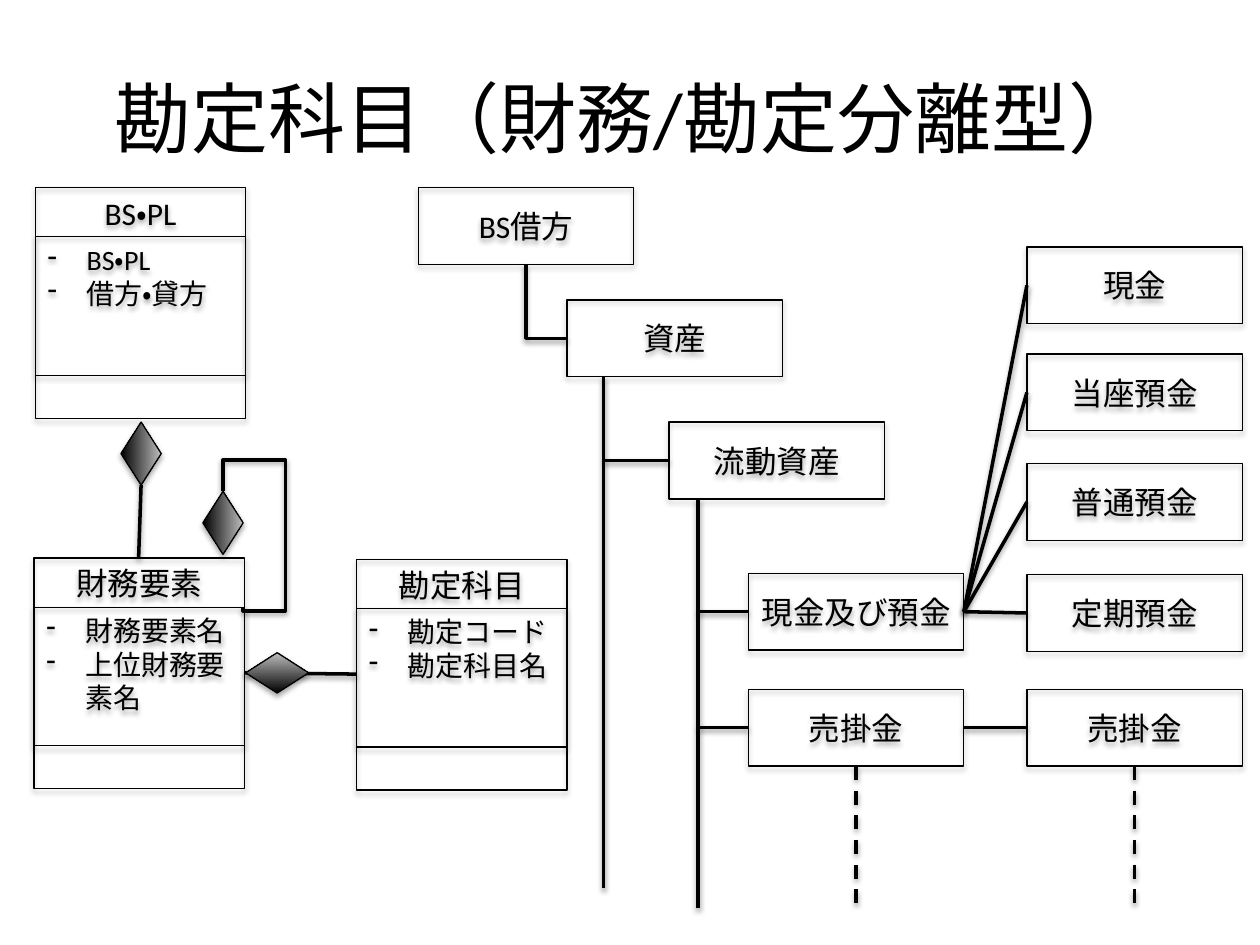
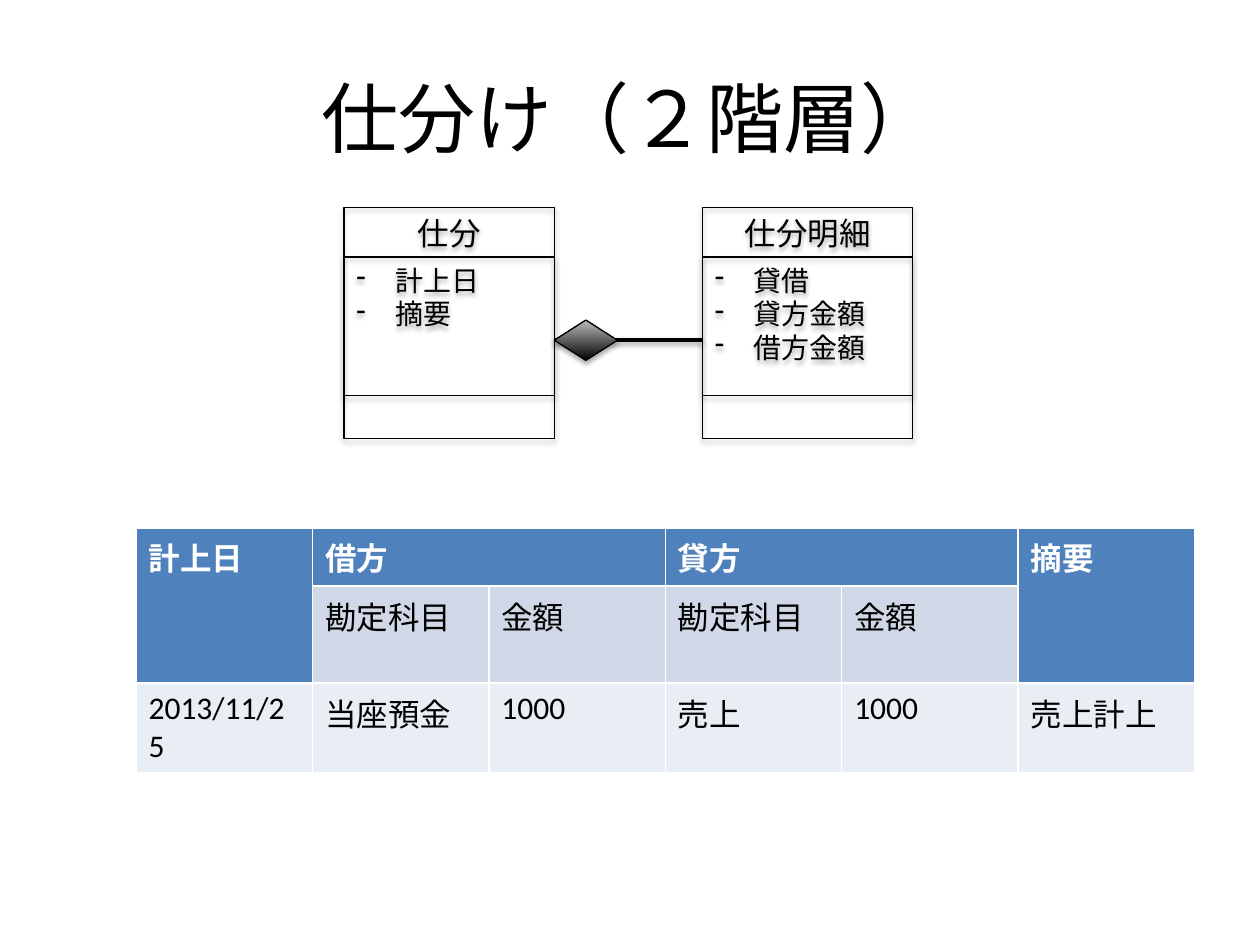
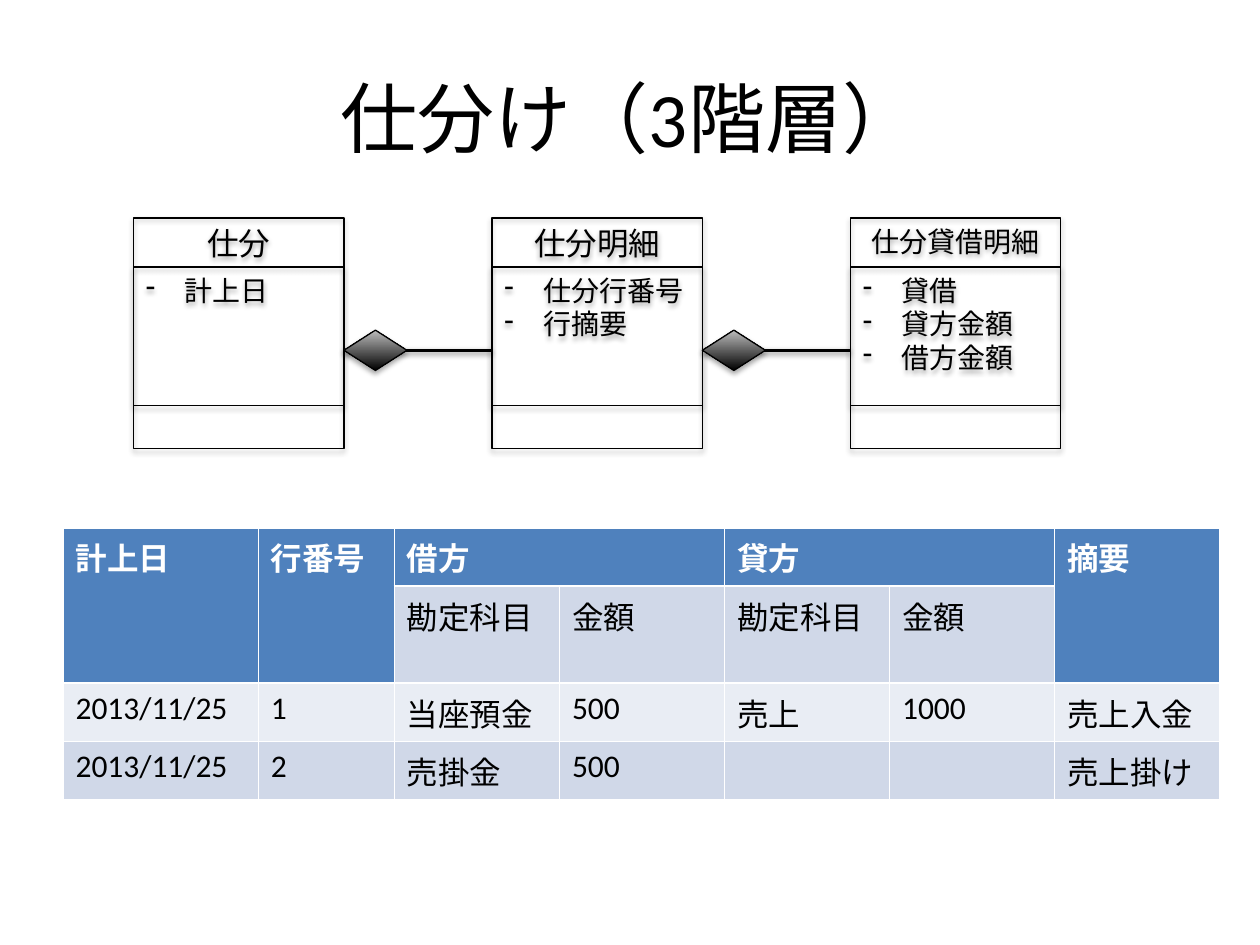
from lxml.etree import SubElement
from pptx import Presentation
from pptx.dml.color import RGBColor
from pptx.enum.dml import MSO_LINE
from pptx.enum.lang import MSO_LANGUAGE_ID as Language
from pptx.enum.shapes import MSO_CONNECTOR as Connector, MSO_SHAPE as Shape
from pptx.enum.text import MSO_ANCHOR as Anchor, PP_ALIGN as Align
from pptx.oxml.ns import qn
from pptx.util import Inches, Pt

FONT = "Calibri"
BLACK = RGBColor(0x00, 0x00, 0x00)
WHITE = RGBColor(0xFF, 0xFF, 0xFF)
SILVER = RGBColor(0xBD, 0xBD, 0xBD)
HEADER_BLUE = RGBColor(0x4F, 0x81, 0xBD)
BAND_DARK = RGBColor(0xD0, 0xD8, 0xE8)
BAND_LIGHT = RGBColor(0xE9, 0xED, 0xF4)

# Lengths in inches
CLASS_W, CLASS_H = 1.67, 1.83
BODY_TOP, BODY_H = 0.39, 1.1
DIAMOND_W, DIAMOND_H = 0.5, 0.32
NODE_W, NODE_H = 1.71, 0.61
CLASS_STEP = 2.845
LINK_DROP = 1.05
TABLE_TOP = 4.19
ROW_H, SUBHEAD_H = 0.41, 0.77

# Slide 1: class boxes as (name, attributes, left, top)
ACCOUNT_CLASSES = [
    ("BS・PL", ["BS・PL", "借方・貸方"], 0.28, 1.49),
    ("財務要素", ["財務要素名", "上位財務要素名"], 0.27, 4.43),
    ("勘定科目", ["勘定コード", "勘定科目名"], 2.83, 4.44),
]
# Slide 1: account tree
TRUNK = [("BS借方", 3.32, 1.49), ("資産", 4.5, 2.38), ("流動資産", 5.31, 3.35)]
ITEM_LEFT, LEAF_LEFT = 5.94, 8.15
ITEMS = [("現金及び預金", 4.55), ("売掛金", 5.47)]
CASH_LEAVES = [("現金", 1.96), ("当座預金", 2.81), ("普通預金", 3.68), ("定期預金", 4.56)]
ASSET_RAIL, CURRENT_RAIL = 4.79, 5.54
TREE_BOTTOM = 7.21

# Slides 2 and 3: header groups as (heading, subheadings)
SIDES = [("借方", ["勘定科目", "金額"]), ("貸方", ["勘定科目", "金額"])]
JOURNALS = [
    {
        "title": "仕分け（２階層）",
        "classes": [("仕分", ["計上日", "摘要"]),
                    ("仕分明細", ["貸借", "貸方金額", "借方金額"])],
        "origin": (2.73, 1.65),
        "table_left": 1.08,
        "widths": [1.4] * 6,
        "groups": [("計上日", []), *SIDES, ("摘要", [])],
        "rows": [["2013/11/25", "当座預金", "1000", "売上", "1000", "売上計上"]],
    },
    {
        "title": "仕分け（3階層）",
        "classes": [("仕分", ["計上日"]),
                    ("仕分明細", ["仕分行番号", "行摘要"]),
                    ("仕分貸借明細", ["貸借", "貸方金額", "借方金額"])],
        "origin": (1.06, 1.73),
        "table_left": 0.5,
        "widths": [1.55, 1.08] + [1.31] * 5,
        "groups": [("計上日", []), ("行番号", []), *SIDES, ("摘要", [])],
        "rows": [["2013/11/25", "1", "当座預金", "500", "売上", "1000", "売上入金"],
                 ["2013/11/25", "2", "売掛金", "500", "", "", "売上掛け"]],
    },
]


def inches(*lengths):
    return [Inches(length) for length in lengths]


def style_text(text_frame, size, color=BLACK, bold=False):
    for paragraph in text_frame.paragraphs:
        for run in paragraph.runs:
            font = run.font
            font.name, font.size, font.bold = FONT, Pt(size), bold
            font.color.rgb = color
            font.language_id = Language.JAPANESE


def add_shadow(effects, distance, opacity):
    shadow = SubElement(effects, qn("a:outerShdw"), blurRad=str(Pt(3.1)),
                        dist=str(Pt(distance)), dir="5400000", rotWithShape="0")
    color = SubElement(shadow, qn("a:srgbClr"), val=str(BLACK))
    SubElement(color, qn("a:alpha"), val=str(opacity * 1000))


def add_outlined(slide, kind, left, top, width, height):
    """Add an unfilled shape with the thin black outline and soft shadow."""
    shape = slide.shapes.add_shape(kind, *inches(left, top, width, height))
    shape.fill.background()
    shape.line.color.rgb = BLACK
    shape.line.width = Pt(0.75)
    shape.shadow.inherit = False
    add_shadow(shape._element.spPr.find(qn("a:effectLst")), 1.8, 35)
    return shape


def add_box(slide, text, left, top, width, height, size=18, anchor=Anchor.MIDDLE,
            align=Align.CENTER):
    box = add_outlined(slide, Shape.RECTANGLE, left, top, width, height)
    frame = box.text_frame
    frame.word_wrap = True
    frame.vertical_anchor = anchor
    frame.text = text
    for paragraph in frame.paragraphs:
        paragraph.alignment = align
    style_text(frame, size)
    return box


def add_class(slide, name, attributes, left, top):
    """Add a three-part class box: name, dashed attribute list, empty foot."""
    name_size = 16 if len(name) > 5 and name != "BS・PL" else 18
    add_box(slide, name, left, top, CLASS_W, CLASS_H, name_size, Anchor.TOP)
    body = add_box(slide, "\n".join(attributes), left, top + BODY_TOP, CLASS_W, BODY_H,
                   16, Anchor.TOP, Align.LEFT)
    indent = Inches(0.31)
    for paragraph in body.text_frame.paragraphs:
        properties = paragraph._p.get_or_add_pPr()
        properties.set("marL", str(indent))
        properties.set("indent", str(-indent))
        SubElement(properties, qn("a:buChar"), char="-")


def add_node(slide, name, left, top):
    add_box(slide, name, left, top, NODE_W, NODE_H)


def add_diamond(slide, left, top, rotation=0):
    diamond = add_outlined(slide, Shape.FLOWCHART_DECISION, left, top, DIAMOND_W, DIAMOND_H)
    diamond.rotation = rotation
    diamond.fill.gradient()
    diamond.fill.gradient_angle = 90
    for stop, color in zip(diamond.fill.gradient_stops, (BLACK, SILVER)):
        stop.color.rgb = color


def add_link(slide, start, end, kind=Connector.STRAIGHT, dashed=False):
    link = slide.shapes.add_connector(kind, *inches(*start, *end))
    link.line.color.rgb = BLACK
    link.line.width = Pt(2)
    if dashed:
        link.line.dash_style = MSO_LINE.DASH
    add_shadow(SubElement(link._element.spPr, qn("a:effectLst")), 1.6, 38)
    return link


def add_bent_link(slide, start, end, preset, rotation, adjustments=()):
    """Add an elbow link of a given preset, with bends as shares of its size."""
    link = add_link(slide, start, end, Connector.ELBOW)
    properties = link._element.spPr
    properties.find(qn("a:xfrm")).set("rot", str(rotation * 60000))
    geometry = properties.find(qn("a:prstGeom"))
    geometry.set("prst", preset)
    guides = geometry.find(qn("a:avLst"))
    for number, share in enumerate(adjustments, 1):
        SubElement(guides, qn("a:gd"), name=f"adj{number}", fmla=f"val {round(share * 100000)}")


def add_titled_slide(presentation, title):
    slide = presentation.slides.add_slide(presentation.slide_layouts[5])
    placeholder = slide.shapes.title
    placeholder.left, placeholder.top, placeholder.width, placeholder.height = inches(
        0.5, 0.3, 9, 1.25)
    frame = placeholder.text_frame
    frame.text = title
    frame.vertical_anchor = Anchor.MIDDLE
    frame.paragraphs[0].alignment = Align.CENTER
    style_text(frame, 44)
    return slide


def add_account_classes(slide):
    for account_class in ACCOUNT_CLASSES:
        add_class(slide, *account_class)
    add_bent_link(slide, (2.31, 4.28), (1.39, 4.44), "bentConnector5", 270, (-0.27, 3.1, 1.03))
    add_link(slide, (1.12, 3.85), (1.1, 4.43))
    add_link(slide, (1.94, 5.34), (2.83, 5.35))
    add_diamond(slide, 0.87, 3.44, 90)
    add_diamond(slide, 1.52, 3.99, 90)
    add_diamond(slide, 1.95, 5.18)


def add_account_tree(slide):
    half = NODE_H / 2
    item_right = ITEM_LEFT + NODE_W
    leaves = CASH_LEAVES + ITEMS[-1:]
    for node in TRUNK:
        add_node(slide, *node)
    for name, top in ITEMS:
        add_node(slide, name, ITEM_LEFT, top)
        add_link(slide, (CURRENT_RAIL, top + half), (ITEM_LEFT, top + half))
    for name, top in leaves:
        add_node(slide, name, LEAF_LEFT, top)

    (_, root_left, root_top), (_, asset_left, asset_top), (_, current_left, current_top) = TRUNK
    add_bent_link(slide, (root_left + NODE_W / 2, root_top + NODE_H),
                  (asset_left, asset_top + half), "bentConnector2", 180)
    add_link(slide, (ASSET_RAIL, asset_top + NODE_H), (ASSET_RAIL, 7.05))
    add_link(slide, (ASSET_RAIL, current_top + half), (current_left, current_top + half))
    add_link(slide, (CURRENT_RAIL, current_top + NODE_H), (CURRENT_RAIL, TREE_BOTTOM))

    cash_top, receivable_top = (top for _, top in ITEMS)
    for leaf in leaves:
        parent_top = cash_top if leaf in CASH_LEAVES else receivable_top
        add_link(slide, (LEAF_LEFT, leaf[1] + half), (item_right, parent_top + half))
    for left in (ITEM_LEFT, LEAF_LEFT):
        middle = left + NODE_W / 2
        add_link(slide, (middle, receivable_top + NODE_H), (middle, TREE_BOTTOM), dashed=True)


def fill_cell(cell, text, fill, color=BLACK, bold=False):
    cell.fill.solid()
    cell.fill.fore_color.rgb = fill
    cell.text_frame.text = text
    style_text(cell.text_frame, 18, color, bold)


def add_journal_table(slide, left, widths, groups, rows):
    heights = [ROW_H, SUBHEAD_H] + [ROW_H] * len(rows)
    table = slide.shapes.add_table(
        len(heights), len(widths), *inches(left, TABLE_TOP, sum(widths), sum(heights))).table
    for column, width in zip(table.columns, widths):
        column.width = Inches(width)
    for row, height in zip(table.rows, heights):
        row.height = Inches(height)

    first = 0
    for heading, subheadings in groups:
        last = first + max(len(subheadings), 1) - 1
        origin = table.cell(0, first)
        origin.merge(table.cell(0 if subheadings else 1, last))
        fill_cell(origin, heading, HEADER_BLUE, WHITE, True)
        for offset, subheading in enumerate(subheadings):
            fill_cell(table.cell(1, first + offset), subheading, BAND_DARK)
        first = last + 1

    for number, row in enumerate(rows):
        for column, text in enumerate(row):
            fill_cell(table.cell(number + 2, column), text,
                      BAND_DARK if number % 2 else BAND_LIGHT)


def add_journal_classes(slide, classes, left, top):
    link_y = top + LINK_DROP
    for number, (name, attributes) in enumerate(classes):
        class_left = left + number * CLASS_STEP
        add_class(slide, name, attributes, class_left, top)
        if number:
            previous_right = class_left - CLASS_STEP + CLASS_W
            add_link(slide, (previous_right, link_y), (class_left, link_y))
            add_diamond(slide, previous_right, link_y - DIAMOND_H / 2)


def main():
    presentation = Presentation()
    presentation.slide_width, presentation.slide_height = inches(10, 7.5)

    slide = add_titled_slide(presentation, "勘定科目（財務/勘定分離型）")
    add_account_classes(slide)
    add_account_tree(slide)

    for journal in JOURNALS:
        slide = add_titled_slide(presentation, journal["title"])
        add_journal_classes(slide, journal["classes"], *journal["origin"])
        add_journal_table(slide, journal["table_left"], journal["widths"],
                          journal["groups"], journal["rows"])

    presentation.save("out.pptx")


if __name__ == "__main__":
    main()
